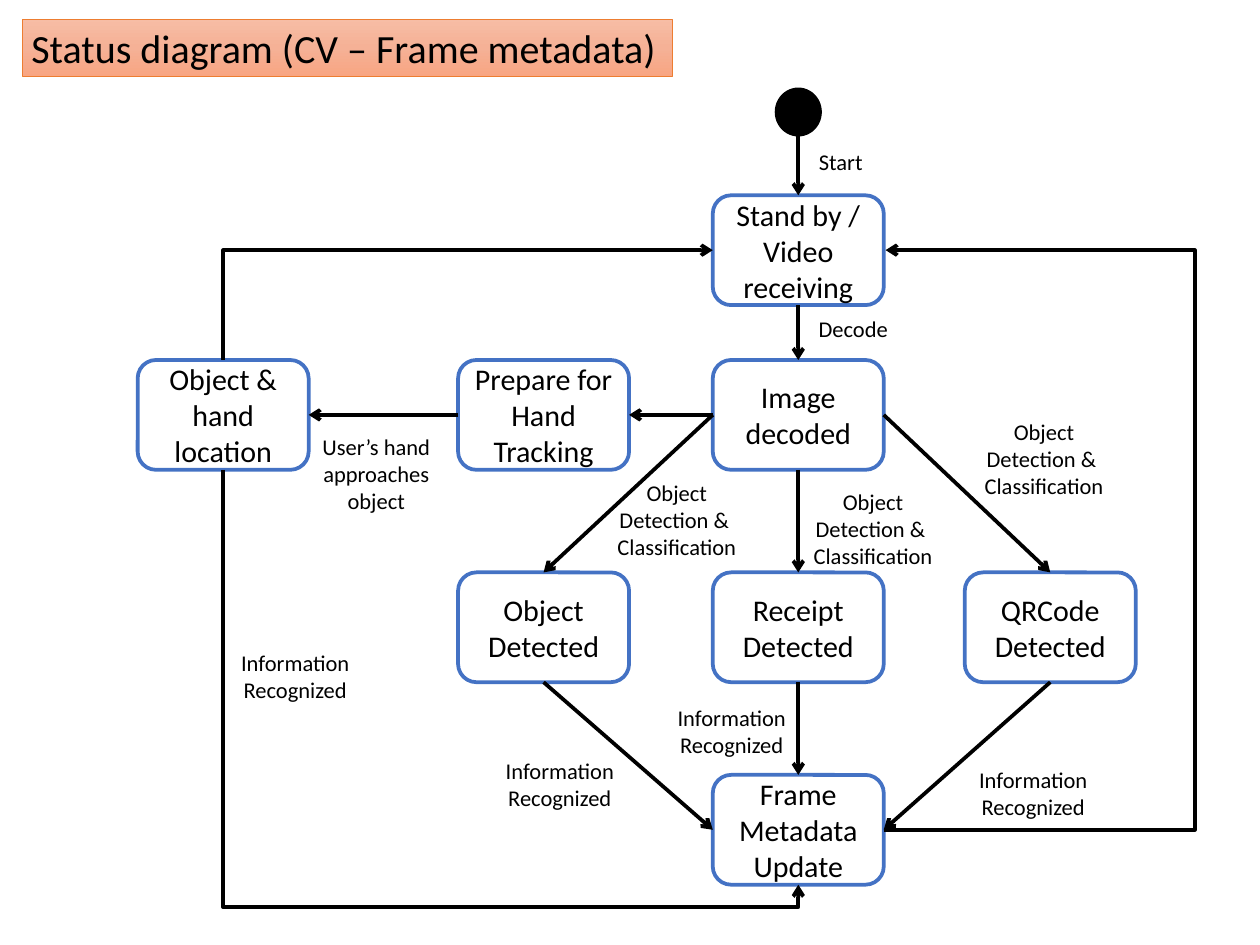
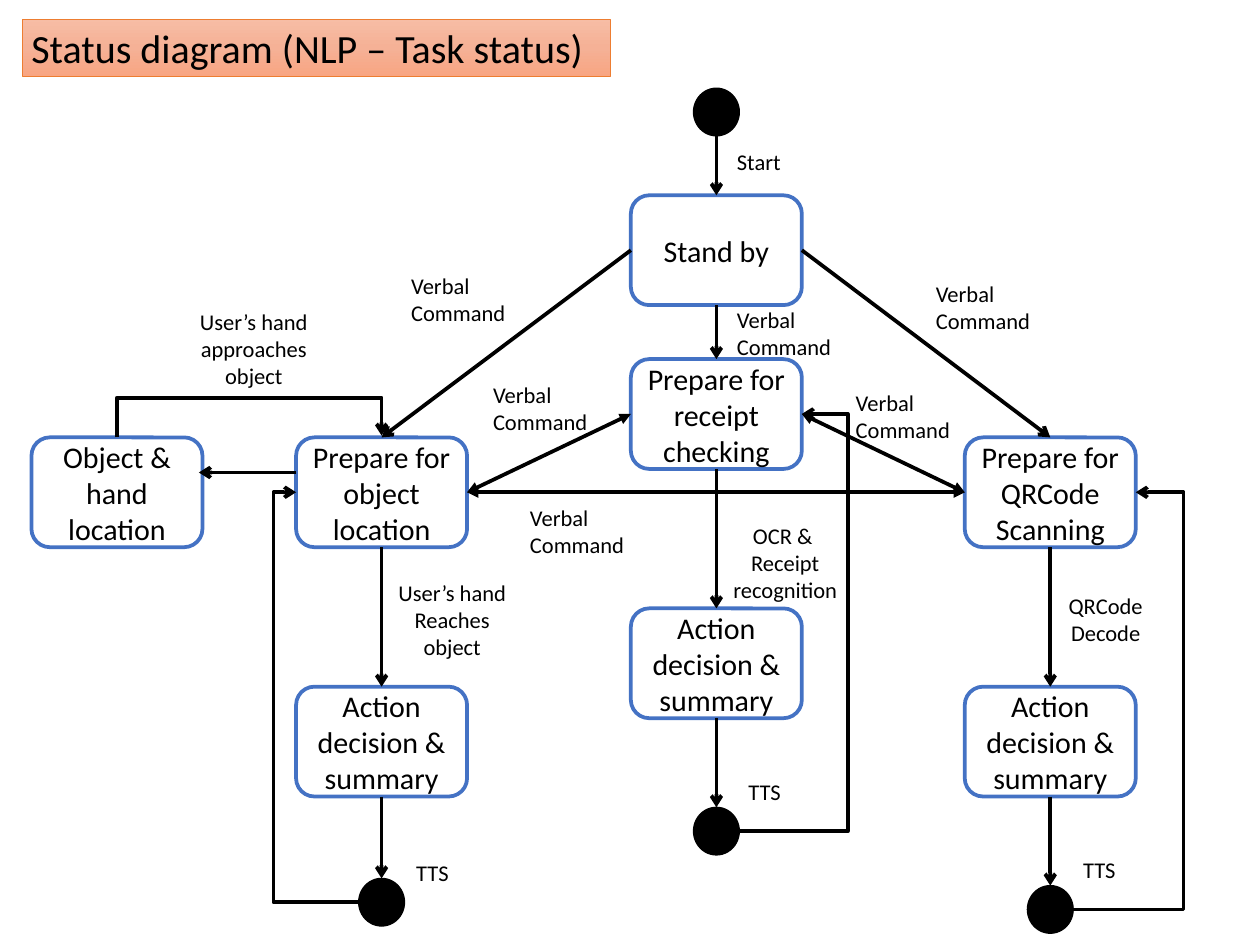
import lxml.etree
import pptx
import pptx.dml.color
import pptx.enum.dml
import pptx.enum.shapes
import pptx.enum.text
import pptx.oxml.ns
import pptx.util
from dataclasses import dataclass


@dataclass(frozen=True)
class Theme:
    font: str = "Calibri"
    ink: str = "000000"
    paper: str = "FFFFFF"
    node_line: str = "4472C4"
    title_line: str = "ED7D31"
    title_fill: tuple = ((0, "F7BDA5"), (50, "F5B196"), (100, "F8A582"))
    title_size: int = 32
    node_size: int = 24
    label_size: int = 18
    stroke: float = 3


THEME = Theme()
SLIDE_WIDTH, SLIDE_HEIGHT = 14, 10.5
NODE_WIDTH, NODE_HEIGHT = 1.9, 1.22
DOT_WIDTH, DOT_HEIGHT = 0.51, 0.53
TITLE_LEFT, TITLE_TOP, TITLE_HEIGHT = 0.25, 0.21, 0.64
TOP, LEFT, BOTTOM, RIGHT = range(4)

# Label texts: text, width, alignment
LABELS = {
    "start": ("Start", 0.7, "left"),
    "decode": ("Decode", 0.98, "center"),
    "detect": ("Object\nDetection & \nClassification", 1.54, "center"),
    "recognized": ("Information\nRecognized", 1.42, "center"),
    "approach": ("User’s hand\napproaches\nobject", 1.42, "center"),
    "reach": ("User’s hand\nReaches\nobject", 1.43, "center"),
    "verbal": ("Verbal\nCommand", 1.27, "left"),
    "ocr": ("OCR & \nReceipt\nrecognition", 1.39, "center"),
    "qrcode": ("QRCode\nDecode", 1.05, "center"),
    "tts": ("TTS", 0.57, "center"),
}

# Nodes: text, column, row. Dots: column, top. Labels: key, left, top.
# Arrows: from, side, to, side. Bends: the same, then the detour line or None.
DIAGRAMS = [
    {
        "title": ("Status diagram (CV – Frame metadata)", 7.22),
        "columns": (1.53, 5.09, 7.92, 10.72),
        "rows": (2.17, 4, 6.36, 8.61),
        "nodes": {
            "standby": ("Stand by / Video receiving", 2, 0),
            "location": ("Object & hand location", 0, 1),
            "tracking": ("Prepare for Hand Tracking", 1, 1),
            "image": ("Image decoded", 2, 1),
            "object": ("Object Detected", 1, 2),
            "receipt": ("Receipt\nDetected", 2, 2),
            "qrcode": ("QRCode\nDetected", 3, 2),
            "update": ("Frame\nMetadata\nUpdate", 2, 3),
        },
        "dots": {"begin": (2, 0.98)},
        "arrows": [
            ("begin", BOTTOM, "standby", TOP),
            ("standby", BOTTOM, "image", TOP),
            ("image", LEFT, "tracking", RIGHT),
            ("tracking", LEFT, "location", RIGHT),
            ("image", LEFT, "object", TOP),
            ("image", BOTTOM, "receipt", TOP),
            ("image", RIGHT, "qrcode", TOP),
            ("object", BOTTOM, "update", LEFT),
            ("receipt", BOTTOM, "update", TOP),
            ("qrcode", BOTTOM, "update", RIGHT),
        ],
        "two_way": [],
        "bends": [
            ("location", TOP, "standby", LEFT, None),
            ("location", BOTTOM, "update", BOTTOM, 10.08),
            ("update", RIGHT, "standby", RIGHT, 13.26),
        ],
        "labels": [
            ("start", 9, 1.6), ("decode", 8.99, 3.45), ("approach", 3.47, 4.76),
            ("detect", 6.75, 5.27), ("detect", 8.93, 5.37), ("detect", 10.83, 4.6),
            ("recognized", 10.77, 8.46), ("recognized", 5.51, 8.36),
            ("recognized", 7.42, 7.77), ("recognized", 2.57, 7.16),
        ],
    },
    {
        "title": ("Status diagram (NLP – Task status)", 6.53),
        "columns": (0.35, 3.29, 7.01, 10.72),
        "rows": (2.17, 3.99, 4.86, 6.76, 7.63),
        "nodes": {
            "standby": ("Stand by", 2, 0),
            "receipt": ("Prepare for receipt checking", 2, 1),
            "location": ("Object & hand location", 0, 2),
            "object": ("Prepare for object location", 1, 2),
            "qrcode": ("Prepare for QRCode\nScanning", 3, 2),
            "receipt action": ("Action decision & summary", 2, 3),
            "object action": ("Action decision & summary", 1, 4),
            "qrcode action": ("Action decision & summary", 3, 4),
        },
        "dots": {
            "begin": (2, 0.98),
            "receipt end": (2, 8.97),
            "object end": (1, 9.76),
            "qrcode end": (3, 9.84),
        },
        "arrows": [
            ("begin", BOTTOM, "standby", TOP),
            ("standby", LEFT, "object", TOP),
            ("standby", BOTTOM, "receipt", TOP),
            ("standby", RIGHT, "qrcode", TOP),
        ] + [
            step for task in ("object", "receipt", "qrcode") for step in (
                (task, BOTTOM, f"{task} action", TOP),
                (f"{task} action", BOTTOM, f"{task} end", TOP))
        ] + [((3.29, 5.25), None, (2.21, 5.25), None)],
        "two_way": [
            ("object", RIGHT, "receipt", LEFT),
            ("receipt", RIGHT, "qrcode", LEFT),
            ("qrcode", LEFT, "object", RIGHT),
        ],
        "bends": [
            ("receipt end", RIGHT, "receipt", RIGHT, 9.42),
            ("qrcode end", RIGHT, "qrcode", RIGHT, 13.15),
            ("object end", LEFT, "object", LEFT, 3.04),
            ("location", TOP, "object", TOP, 4.42),
        ],
        "labels": [
            ("start", 8.09, 1.6), ("verbal", 4.47, 2.97), ("verbal", 8.09, 3.35),
            ("verbal", 10.3, 3.06), ("verbal", 5.38, 4.18), ("verbal", 5.79, 5.55),
            ("verbal", 9.41, 4.27), ("ocr", 8.03, 5.75), ("qrcode", 11.76, 6.53),
            ("reach", 4.31, 6.38), ("approach", 2.11, 3.37), ("tts", 8.21, 8.59),
            ("tts", 11.93, 9.46), ("tts", 4.52, 9.49),
        ],
    },
]


def inches(*lengths):
    return [pptx.util.Inches(length) for length in lengths]


def color(value):
    return pptx.dml.color.RGBColor.from_string(value)


def write_text(shape, text, size, align="left", middle=False, wrap=True):
    frame = shape.text_frame
    frame.word_wrap = wrap
    anchors = pptx.enum.text.MSO_ANCHOR
    frame.vertical_anchor = anchors.MIDDLE if middle else anchors.TOP
    if not wrap:
        frame.auto_size = pptx.enum.text.MSO_AUTO_SIZE.SHAPE_TO_FIT_TEXT
    frame.text = text
    for paragraph in frame.paragraphs:
        paragraph.alignment = getattr(pptx.enum.text.PP_ALIGN, align.upper())
        for run in paragraph.runs:
            run.font.name = THEME.font
            run.font.size = pptx.util.Pt(size)
            run.font.color.rgb = color(THEME.ink)


def add_box(slide, preset, box, fill, line, line_width):
    kind = getattr(pptx.enum.shapes.MSO_SHAPE, preset)
    shape = slide.shapes.add_shape(kind, *inches(*box))
    shape.shadow.inherit = False
    if fill:
        shape.fill.solid()
        shape.fill.fore_color.rgb = color(fill)
    shape.line.color.rgb = color(line)
    shape.line.width = pptx.util.Pt(line_width)
    return shape


def add_child(parent, tag, **attributes):
    return lxml.etree.SubElement(parent, pptx.oxml.ns.qn(tag), attributes)


def add_title(slide, text, width):
    box = (TITLE_LEFT, TITLE_TOP, width, TITLE_HEIGHT)
    shape = add_box(slide, "RECTANGLE", box, None, THEME.title_line, 0.5)
    shape.fill.gradient()
    shape.fill.gradient_angle = 270
    stops = shape._element.spPr.find(".//" + pptx.oxml.ns.qn("a:gsLst"))
    for stop in list(stops):
        stops.remove(stop)
    for percent, value in THEME.title_fill:
        stop = add_child(stops, "a:gs", pos=str(percent * 1000))
        add_child(stop, "a:srgbClr", val=value)
    write_text(shape, text, THEME.title_size, wrap=False)


def style_connector(connector, head=None, tail="arrow"):
    connector.line.color.rgb = color(THEME.ink)
    connector.line.width = pptx.util.Pt(THEME.stroke)
    line = connector.line._get_or_add_ln()
    if head:
        add_child(line, "a:headEnd", type=head)
    add_child(line, "a:tailEnd", type=tail)
    add_child(connector._element.spPr, "a:effectLst")


def side_point(box, side):
    left, top, width, height = box
    across, down = {TOP: (0.5, 0), LEFT: (0, 0.5), BOTTOM: (0.5, 1), RIGHT: (1, 0.5)}[side]
    return left + width * across, top + height * down


def add_arrow(slide, boxes, nodes, arrow, **heads):
    start, start_side, end, end_side = arrow
    points = [side_point(boxes[place], side) if place in boxes else place
              for place, side in ((start, start_side), (end, end_side))]
    connector = slide.shapes.add_connector(
        pptx.enum.shapes.MSO_CONNECTOR.STRAIGHT, *inches(*points[0], *points[1]))
    if start in nodes:
        connector.begin_connect(nodes[start], start_side)
    if end in nodes:
        connector.end_connect(nodes[end], end_side)
    style_connector(connector, **heads)


def add_bend(slide, boxes, bend):
    start, start_side, end, end_side, detour = bend
    start_point = side_point(boxes[start], start_side)
    end_point = list(side_point(boxes[end], end_side))
    upright = start_side in (TOP, BOTTOM)
    axis = 1 if upright else 0
    # The detour is a share of the span, so the span must not be zero
    if detour is not None and abs(end_point[axis] - start_point[axis]) < 0.01:
        end_point[axis] += 0.02 if detour > start_point[axis] else -0.02
    run_x, run_y = (end_point[i] - start_point[i] for i in (0, 1))
    center_x, center_y = (start_point[0] + run_x / 2, start_point[1] + run_y / 2)
    width, height = (abs(run_y), abs(run_x)) if upright else (abs(run_x), abs(run_y))
    left, top = center_x - width / 2, center_y - height / 2
    connector = slide.shapes.add_connector(
        pptx.enum.shapes.MSO_CONNECTOR.ELBOW, *inches(left, top, left + width, top + height))
    # Upright bends are turned a quarter, which swaps the flips
    flip_h, flip_v = (run_y < 0, run_x > 0) if upright else (run_x < 0, run_y < 0)
    properties = connector._element.spPr
    frame = properties.find(pptx.oxml.ns.qn("a:xfrm"))
    for name, active, value in (("rot", upright, "5400000"),
                                ("flipH", flip_h, "1"), ("flipV", flip_v, "1")):
        if active:
            frame.set(name, value)
    geometry = properties.find(pptx.oxml.ns.qn("a:prstGeom"))
    if detour is None:
        geometry.set("prst", "bentConnector2")
    else:
        share = (detour - start_point[axis]) / (end_point[axis] - start_point[axis])
        guides = geometry.find(pptx.oxml.ns.qn("a:avLst"))
        add_child(guides, "a:gd", name="adj1", fmla=f"val {round(share * 100000)}")
    style_connector(connector)


def add_diagram(slide, diagram):
    columns, rows = diagram["columns"], diagram["rows"]
    boxes, nodes = {}, {}
    add_title(slide, *diagram["title"])

    # States
    for name, (text, column, row) in diagram["nodes"].items():
        boxes[name] = (columns[column], rows[row], NODE_WIDTH, NODE_HEIGHT)
        nodes[name] = add_box(slide, "ROUNDED_RECTANGLE", boxes[name],
                              THEME.paper, THEME.node_line, THEME.stroke)
        write_text(nodes[name], text, THEME.node_size, align="center", middle=True)

    # Start and end dots, centred on their column
    for name, (column, top) in diagram["dots"].items():
        left = columns[column] + (NODE_WIDTH - DOT_WIDTH) / 2
        boxes[name] = (left, top, DOT_WIDTH, DOT_HEIGHT)
        add_box(slide, "OVAL", boxes[name], THEME.ink, THEME.ink, 1)

    # Transitions
    for arrow in diagram["arrows"]:
        add_arrow(slide, boxes, nodes, arrow)
    for arrow in diagram["two_way"]:
        add_arrow(slide, boxes, nodes, arrow, head="triangle", tail="triangle")
    for bend in diagram["bends"]:
        add_bend(slide, boxes, bend)

    # Transition labels
    for key, left, top in diagram["labels"]:
        text, width, align = LABELS[key]
        height = 0.1 + 0.3 * len(text.split("\n"))
        label = slide.shapes.add_textbox(*inches(left, top, width, height))
        write_text(label, text, THEME.label_size, align=align, wrap=False)


def main():
    presentation = pptx.Presentation()
    presentation.slide_width, presentation.slide_height = inches(SLIDE_WIDTH, SLIDE_HEIGHT)
    for diagram in DIAGRAMS:
        add_diagram(presentation.slides.add_slide(presentation.slide_layouts[6]), diagram)
    presentation.save("out.pptx")


if __name__ == "__main__":
    main()
